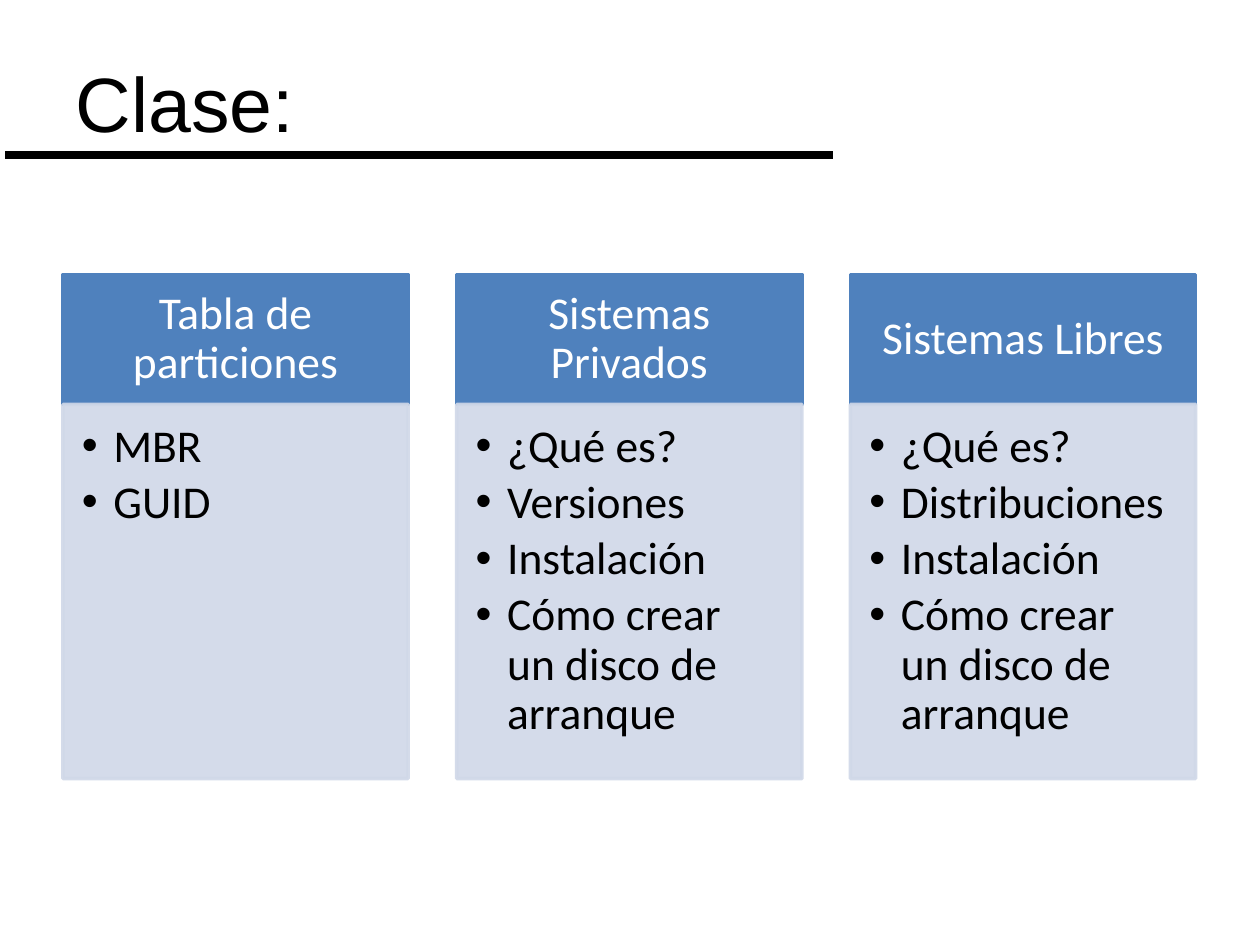
from lxml import etree
from pptx import Presentation
from pptx.dml.color import RGBColor
from pptx.enum import shapes, text
from pptx.oxml import ns
from pptx.util import Inches, Pt

LEFT, COLUMN_WIDTH, COLUMN_STEP = 0.5, 2.74, 3.125
HEADER_TOP, HEADER_HEIGHT, BODY_HEIGHT = 2.18, 1.03, 2.97
BLUE, PALE, BLACK, WHITE = "4F81BD", "D0D8E8", "000000", "FFFFFF"
TOPICS = [
    ("Tabla de particiones", ["MBR", "GUID"]),
    ("Sistemas Privados",
     ["¿Qué es?", "Versiones", "Instalación", "Cómo crear un disco de arranque"]),
    ("Sistemas Libres",
     ["¿Qué es?", "Distribuciones", "Instalación", "Cómo crear un disco de arranque"]),
]


def color(value):
    return RGBColor.from_string(value)


def format_runs(paragraph, font, size, value):
    for run in paragraph.runs:
        run.font.name = font
        run.font.size = Pt(size)
        run.font.color.rgb = color(value)


def add_title(slide, wording):
    title = slide.shapes.title
    title.left, title.top = Inches(LEFT), Inches(0.3)
    title.width, title.height = Inches(9), Inches(1.01)
    title.text_frame.text = wording
    title.text_frame.vertical_anchor = text.MSO_ANCHOR.MIDDLE
    paragraph = title.text_frame.paragraphs[0]
    paragraph.alignment = text.PP_ALIGN.LEFT
    format_runs(paragraph, "Arial", 44, BLACK)


def add_underline(slide):
    underline = slide.shapes.add_connector(
        shapes.MSO_CONNECTOR.STRAIGHT,
        Inches(0.04), Inches(1.23), Inches(6.61), Inches(1.23))
    underline.line.color.rgb = color(BLACK)
    underline.line.width = Pt(4.75)
    etree.SubElement(underline._element.spPr, ns.qn("a:effectLst"))


def add_panel(slide, left, top, height, fill, insets):
    panel = slide.shapes.add_shape(
        shapes.MSO_SHAPE.RECTANGLE,
        Inches(left), Inches(top), Inches(COLUMN_WIDTH), Inches(height))
    panel.shadow.inherit = False
    panel.fill.solid()
    panel.fill.fore_color.rgb = color(fill)
    panel.line.color.rgb = color(fill)
    panel.line.width = Pt(2)
    frame = panel.text_frame
    frame.word_wrap = True
    frame.margin_left, frame.margin_top, frame.margin_right, frame.margin_bottom = map(
        Inches, insets)
    return panel


def add_header(slide, left, wording):
    header = add_panel(slide, left, HEADER_TOP, HEADER_HEIGHT, BLUE,
                       (0.2, 0.12, 0.2, 0.12))
    header.text_frame.text = wording
    header.text_frame.vertical_anchor = text.MSO_ANCHOR.MIDDLE
    paragraph = header.text_frame.paragraphs[0]
    paragraph.alignment = text.PP_ALIGN.CENTER
    paragraph.line_spacing = 0.9
    format_runs(paragraph, "Calibri", 26, WHITE)


def add_bullet(paragraph):
    properties = paragraph._p.get_or_add_pPr()
    properties.set("marL", str(Inches(0.25)))
    properties.set("indent", str(Inches(-0.25)))
    etree.SubElement(properties, ns.qn("a:buFont"), typeface="Arial")
    etree.SubElement(properties, ns.qn("a:buChar"), char="•")


def add_body(slide, left, items):
    body = add_panel(slide, left, HEADER_TOP + HEADER_HEIGHT, BODY_HEIGHT, PALE,
                     (0.15, 0.15, 0.2, 0.23))
    for swatch in body._element.spPr.iter(ns.qn("a:srgbClr")):
        etree.SubElement(swatch, ns.qn("a:alpha"), val="90000")
    frame = body.text_frame
    frame.vertical_anchor = text.MSO_ANCHOR.TOP
    frame.text = "\n".join(items)
    for paragraph in frame.paragraphs:
        paragraph.level = 1
        paragraph.alignment = text.PP_ALIGN.LEFT
        paragraph.line_spacing = 0.9
        paragraph.space_after = Pt(4)
        add_bullet(paragraph)
        format_runs(paragraph, "Calibri", 26, BLACK)


def main():
    deck = Presentation()
    deck.slide_width, deck.slide_height = Inches(10), Inches(7.5)
    slide = deck.slides.add_slide(deck.slide_layouts[5])
    add_title(slide, "Clase:")
    add_underline(slide)
    for column, (heading, items) in enumerate(TOPICS):
        left = LEFT + column * COLUMN_STEP
        add_header(slide, left, heading)
        add_body(slide, left, items)
    deck.save("out.pptx")


if __name__ == "__main__":
    main()
